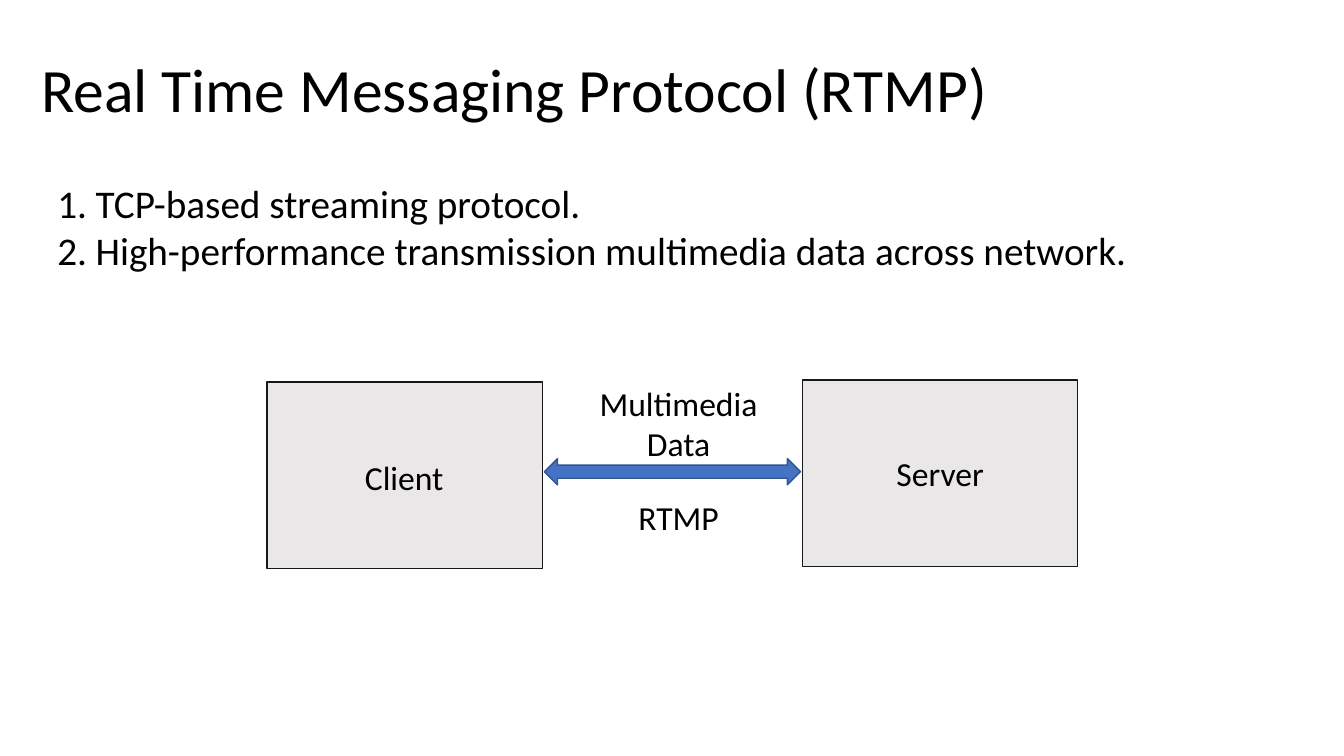
import pptx
import pptx.dml.color
import pptx.enum.shapes
import pptx.enum.text
import pptx.oxml.xmlchemy
import pptx.util
from pptx.util import Inches

RGBColor = pptx.dml.color.RGBColor
Align = pptx.enum.text.PP_ALIGN
Anchor = pptx.enum.text.MSO_ANCHOR
Shape = pptx.enum.shapes.MSO_SHAPE

BLACK = RGBColor(0x00, 0x00, 0x00)
BOX_FILL = RGBColor(0xE9, 0xE7, 0xE7)
BOX_LINE = RGBColor(0x18, 0x18, 0x18)
ARROW_FILL = RGBColor(0x44, 0x72, 0xC4)
ARROW_LINE = RGBColor(0x32, 0x54, 0x91)


def write_text(frame, *lines, size=24, align=Align.LEFT, anchor=Anchor.TOP,
               spacing=None, numbered=False):
    frame.word_wrap = True
    frame.vertical_anchor = anchor
    for index, line in enumerate(lines):
        para = frame.paragraphs[0] if index == 0 else frame.add_paragraph()
        para.alignment = align
        para.line_spacing = spacing
        if numbered:
            number_paragraph(para)
        span = para.add_run()
        span.text = line
        span.font.size = pptx.util.Pt(size)
        span.font.name = "Calibri"
        span.font.color.rgb = BLACK


def number_paragraph(para):
    """Give the paragraph an automatic number and a hanging indent."""
    properties = para._p.get_or_add_pPr()
    properties.set("marL", str(Inches(0.38)))
    properties.set("indent", str(Inches(-0.38)))
    numbering = pptx.oxml.xmlchemy.OxmlElement("a:buAutoNum")
    numbering.set("type", "arabicPeriod")
    properties.append(numbering)


class Slide:
    def __init__(self, deck):
        self.page = deck.slides.add_slide(deck.slide_layouts[6])

    def text(self, left, top, width, height, *lines, **style):
        box = self.page.shapes.add_textbox(
            Inches(left), Inches(top), Inches(width), Inches(height))
        write_text(box.text_frame, *lines, **style)

    def shape(self, kind, left, top, width, height, fill, line):
        shape = self.page.shapes.add_shape(
            kind, Inches(left), Inches(top), Inches(width), Inches(height))
        shape.shadow.inherit = False
        shape.fill.solid()
        shape.fill.fore_color.rgb = fill
        shape.line.color.rgb = line
        shape.line.width = pptx.util.Pt(1)
        return shape

    def node(self, left, top):
        return self.shape(Shape.RECTANGLE, left, top, 2.73, 1.85, BOX_FILL, BOX_LINE)


def main():
    deck = pptx.Presentation()
    deck.slide_width = Inches(13.33)
    deck.slide_height = Inches(7.5)
    slide = Slide(deck)

    slide.text(0.31, 0.19, 11.5, 1.45, "Real Time Messaging Protocol (RTMP)",
               size=44, anchor=Anchor.MIDDLE, spacing=0.9)
    slide.text(0.47, 1.73, 12.39, 1.51,
               "TCP-based streaming protocol.",
               "High-performance transmission multimedia data across network.",
               size=28, align=Align.JUSTIFY, numbered=True)

    slide.node(2.65, 3.79)
    server = slide.node(7.96, 3.77)
    write_text(server.text_frame, "Server", align=Align.CENTER, anchor=Anchor.MIDDLE)
    slide.shape(Shape.LEFT_RIGHT_ARROW, 5.4, 4.55, 2.54, 0.26, ARROW_FILL, ARROW_LINE)

    slide.text(3.52, 4.48, 1.88, 0.5, "Client")
    slide.text(5.79, 3.75, 1.88, 0.91, "Multimedia Data", align=Align.CENTER)
    slide.text(5.79, 4.88, 1.88, 0.5, "RTMP", align=Align.CENTER)

    deck.save("out.pptx")


if __name__ == "__main__":
    main()
